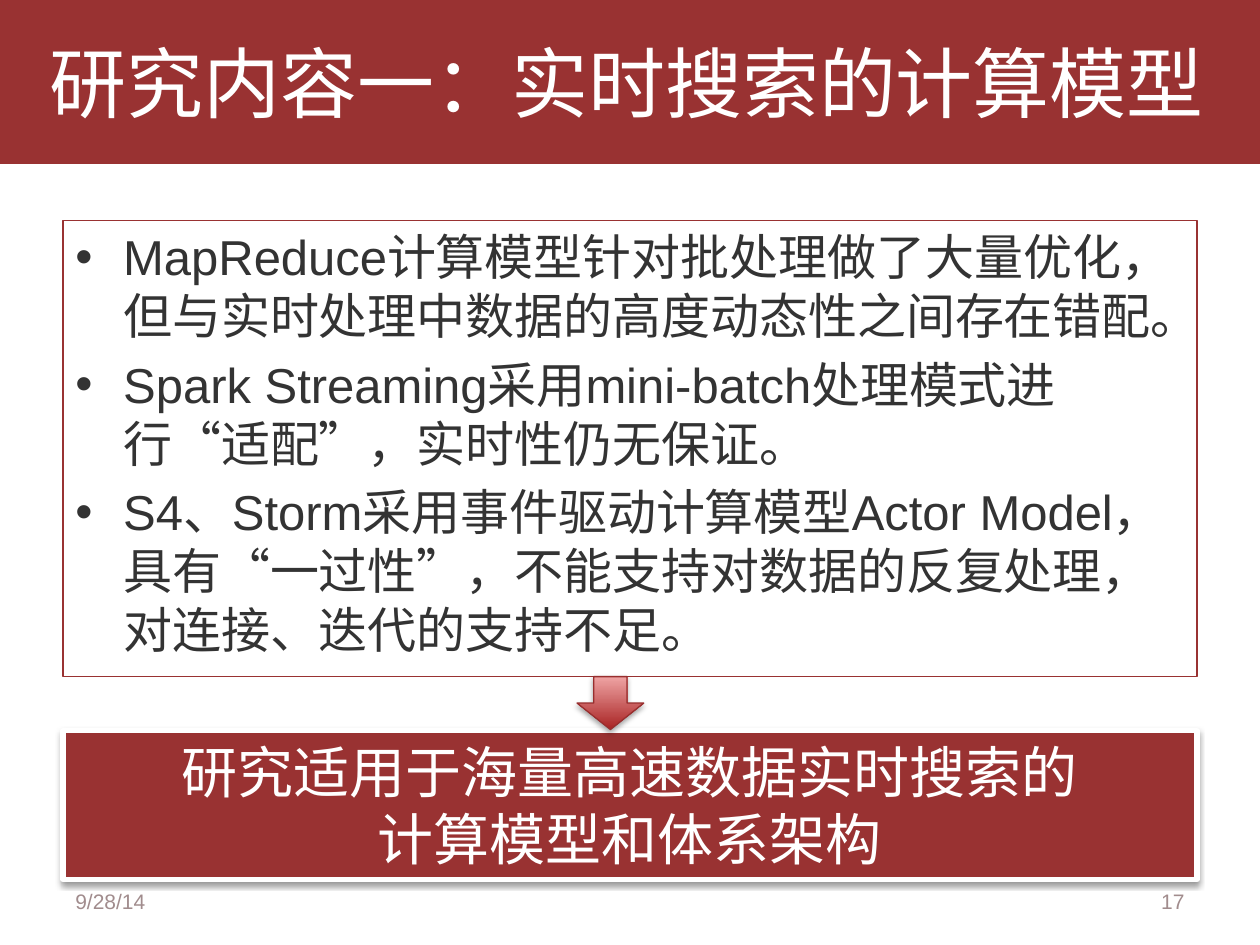
import pptx
import pptx.dml.color
import pptx.enum.shapes
import pptx.enum.text
import pptx.oxml
import pptx.oxml.ns
import pptx.util

WIDTH, HEIGHT = 10, 7.5
MARGIN = 0.5
CONTENT_WIDTH = WIDTH - 2 * MARGIN
COLORS = {
    "red": "993232",
    "white": "FFFFFF",
    "text": "333333",
    "footer": "A18C8D",
    "arrow_dark": "A82323",
    "arrow_light": "EFA4A4",
    "arrow_line": "982E2E",
    "shadow": "000000",
}
SHAPES = pptx.enum.shapes.MSO_SHAPE
ALIGN = pptx.enum.text.PP_ALIGN
ANCHOR = pptx.enum.text.MSO_ANCHOR
CHINESE_FONT = "Noto Sans CJK SC"

TITLE = "研究内容一：实时搜索的计算模型"
POINTS = [
    "MapReduce计算模型针对批处理做了大量优化，但与实时处理中数据的高度动态性之间存在错配。",
    "Spark Streaming采用mini-batch处理模式进行“适配”，实时性仍无保证。",
    "S4、Storm采用事件驱动计算模型Actor Model，具有“一过性”，不能支持对数据的反复处理，对连接、迭代的支持不足。",
]
CONCLUSION = ["研究适用于海量高速数据实时搜索的", "计算模型和体系架构"]


def rgb(name):
    return pptx.dml.color.RGBColor.from_string(COLORS[name])


def inches(*lengths):
    return [pptx.util.Inches(length) for length in lengths]


def add_xml(parent, xml):
    namespaces = pptx.oxml.ns.nsdecls("a")
    parent.append(pptx.oxml.parse_xml(xml.replace(">", f" {namespaces}>", 1)))


def add_bullet(paragraph, indent=0.38):
    properties = paragraph._p.get_or_add_pPr()
    offset = pptx.util.Inches(indent)
    properties.set("marL", str(offset))
    properties.set("indent", str(-offset))
    add_xml(properties, '<a:buFont typeface="Arial"></a:buFont>')
    add_xml(properties, '<a:buChar char="•"></a:buChar>')


def write_text(shape, texts, size, color, font="Arial", align=ALIGN.LEFT,
               anchor=ANCHOR.TOP, bullets=False, space_before=0, left_inset=0.1):
    frame = shape.text_frame
    frame.word_wrap = True
    frame.vertical_anchor = anchor
    frame.margin_left = pptx.util.Inches(left_inset)
    for index, text in enumerate(texts):
        paragraph = frame.add_paragraph() if index else frame.paragraphs[0]
        paragraph.alignment = align
        paragraph.space_before = pptx.util.Pt(space_before if index else 0)
        if bullets:
            add_bullet(paragraph)
        run = paragraph.add_run()
        run.text = text
        run.font.size = pptx.util.Pt(size)
        run.font.color.rgb = rgb(color)
        run.font.name = font
        add_xml(run._r.get_or_add_rPr(), f'<a:ea typeface="{CHINESE_FONT}"></a:ea>')


def add_panel(slide, kind, box, line, fill=None, line_width=0.75):
    shape = slide.shapes.add_shape(kind, *inches(*box))
    shape.shadow.inherit = False
    if fill:
        shape.fill.solid()
        shape.fill.fore_color.rgb = rgb(fill)
    else:
        shape.fill.background()
    shape.line.color.rgb = rgb(line)
    shape.line.width = pptx.util.Pt(line_width)
    return shape


def add_shadow(shape, opacity, distance, blur=3.1):
    """Put a downward shadow in the shape's effect list; lengths are points."""
    effects = shape._element.spPr.find(pptx.oxml.ns.qn("a:effectLst"))
    add_xml(effects, (
        f'<a:outerShdw blurRad="{pptx.util.Pt(blur)}" dist="{pptx.util.Pt(distance)}"'
        f' dir="5400000" rotWithShape="0"><a:srgbClr val="{COLORS["shadow"]}">'
        f'<a:alpha val="{opacity * 1000}"/></a:srgbClr></a:outerShdw>'))


def add_arrow(slide, box):
    arrow = add_panel(slide, SHAPES.DOWN_ARROW, box, "arrow_line")
    arrow.fill.gradient()
    arrow.fill.gradient_angle = 90
    for stop, color in zip(arrow.fill.gradient_stops, ("arrow_dark", "arrow_light")):
        stop.color.rgb = rgb(color)
    add_shadow(arrow, opacity=35, distance=1.8)


def add_footer(slide, text, left, width, align):
    box = slide.shapes.add_textbox(*inches(left, 6.95, width, 0.4))
    write_text(box, [text], 12, "footer", align=align, anchor=ANCHOR.MIDDLE)


def main():
    presentation = pptx.Presentation()
    presentation.slide_width, presentation.slide_height = inches(WIDTH, HEIGHT)
    slide = presentation.slides.add_slide(presentation.slide_layouts[6])

    banner = add_panel(slide, SHAPES.RECTANGLE, (0, 0, WIDTH, 1.3), "red", fill="red")
    write_text(banner, [TITLE], 44, "white", anchor=ANCHOR.MIDDLE, left_inset=0.39)

    findings = add_panel(slide, SHAPES.RECTANGLE, (MARGIN, 1.75, CONTENT_WIDTH, 3.62), "red")
    write_text(findings, POINTS, 28, "text", bullets=True, space_before=5.6)

    footer_width = 2.33
    add_footer(slide, "9/28/14", MARGIN, footer_width, ALIGN.LEFT)
    add_footer(slide, "17", WIDTH - MARGIN - footer_width, footer_width, ALIGN.RIGHT)

    conclusion = add_panel(slide, SHAPES.RECTANGLE, (MARGIN, 5.8, CONTENT_WIDTH, 1.18),
                           "white", fill="red", line_width=3)
    add_shadow(conclusion, opacity=38, distance=1.6)
    write_text(conclusion, CONCLUSION, 32, "white", font=CHINESE_FONT, align=ALIGN.CENTER)

    add_arrow(slide, (4.58, 5.37, 0.53, 0.42))
    presentation.save("out.pptx")


if __name__ == "__main__":
    main()
